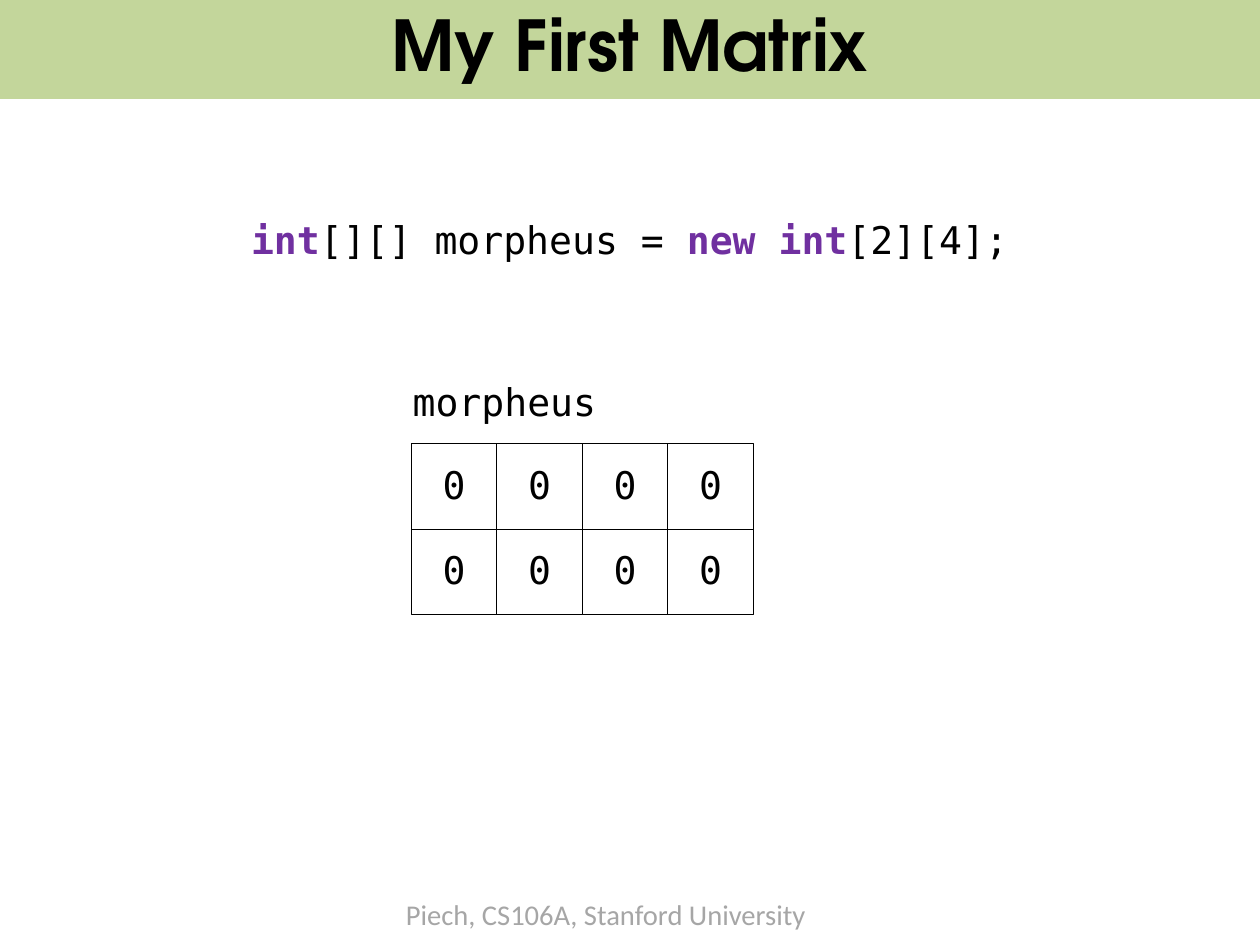
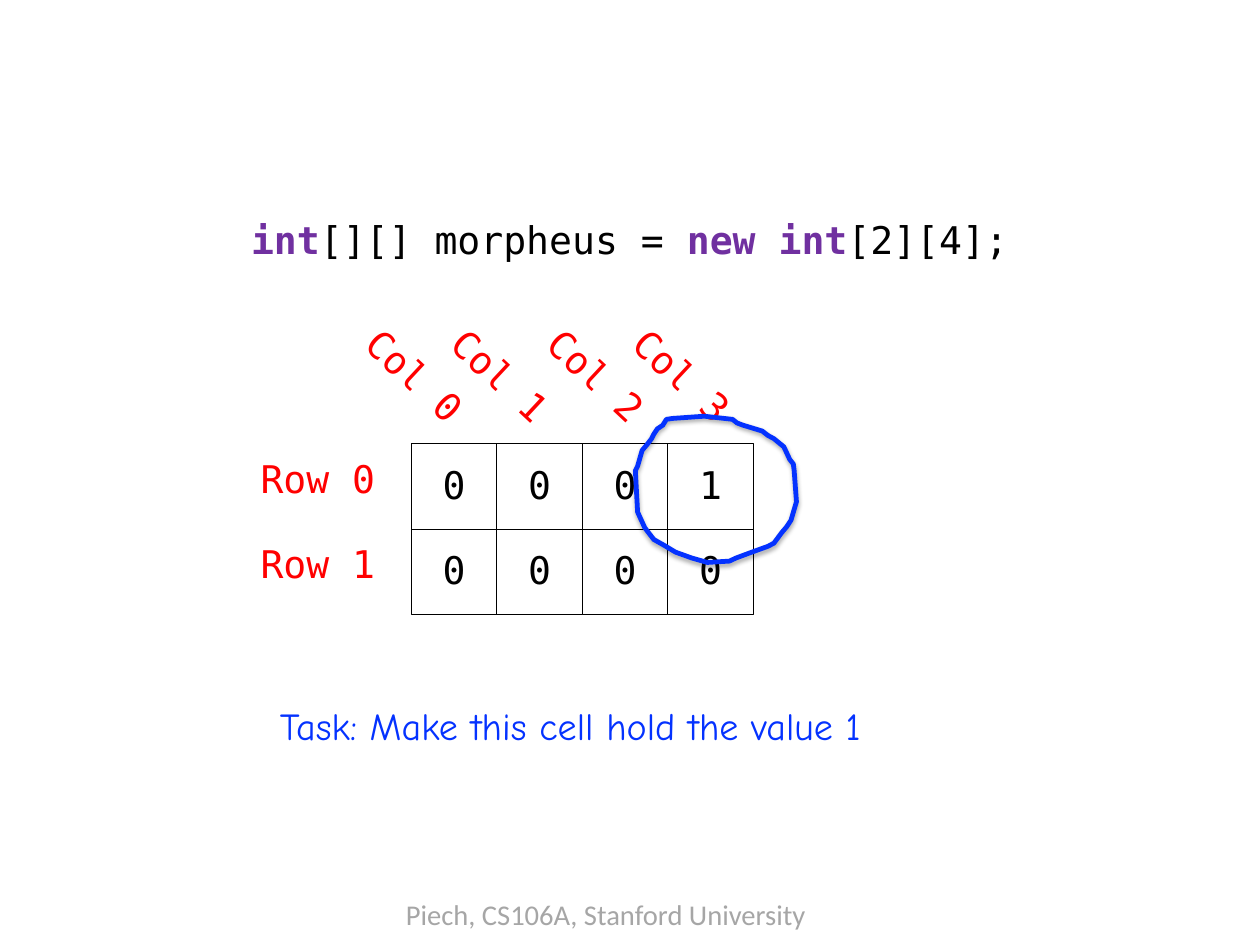
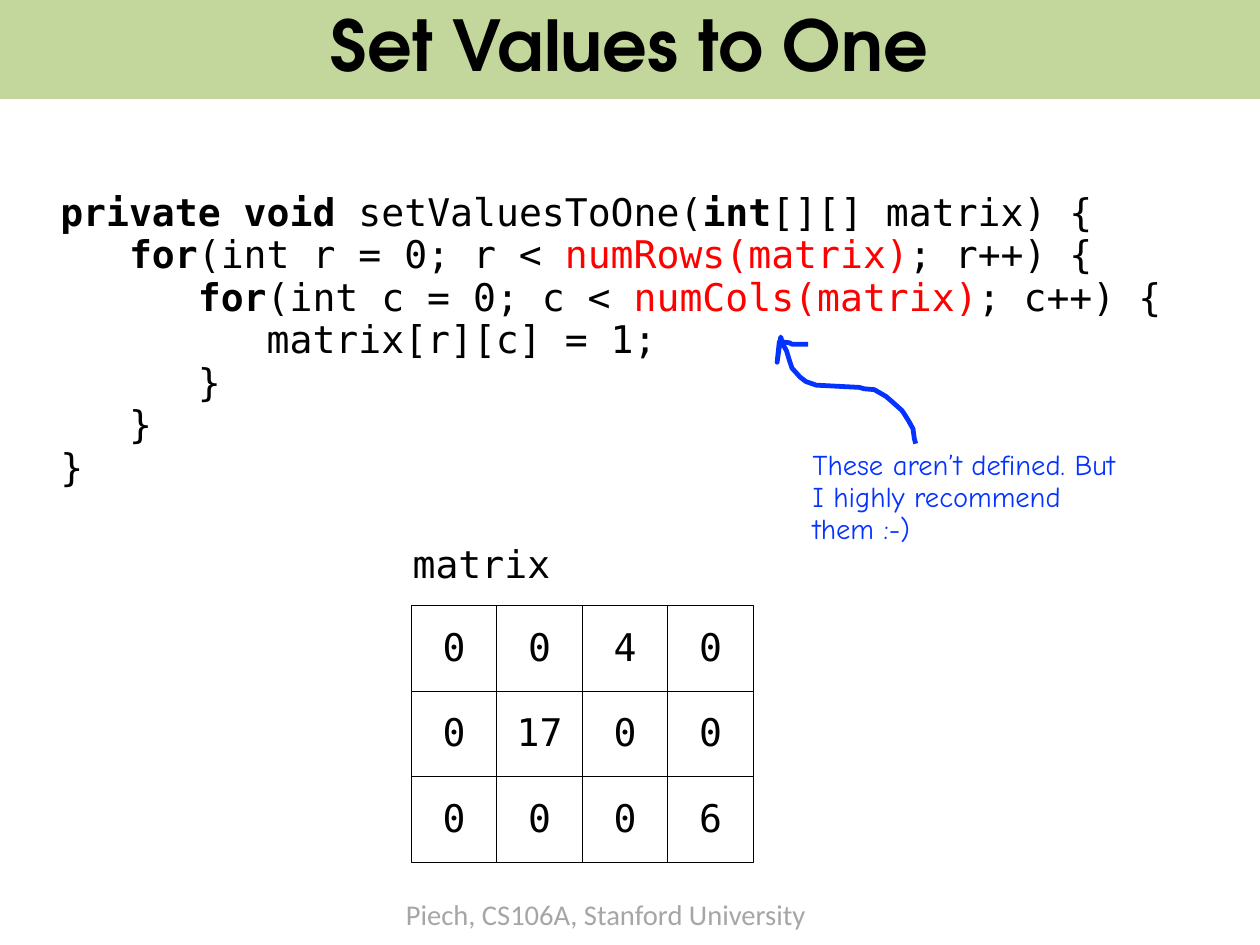
from dataclasses import dataclass

from lxml.etree import SubElement
from pptx import Presentation
from pptx.dml.color import RGBColor
from pptx.enum.shapes import MSO_SHAPE
from pptx.enum.text import MSO_ANCHOR, MSO_AUTO_SIZE, PP_ALIGN
from pptx.oxml.ns import qn
from pptx.util import Cm, Pt


@dataclass(frozen=True)
class Theme:
    black: str = "000000"
    white: str = "FFFFFF"
    band: str = "C3D69B"
    keyword: str = "7030A0"
    accent: str = "FF0000"
    ink: str = "0432FF"
    footer: str = "A6A6A6"
    title_font: str = "TeX Gyre Adventor"
    code_font: str = "DejaVu Sans Mono"
    hand_font: str = "Comic Neue"
    footer_font: str = "Calibri"
    title_size: float = 44.1
    body_size: float = 24
    small_size: float = 18
    line_spacing: float = 0.93
    grid_line: float = 0.75
    pen_line: float = 3


THEME = Theme()

TITLE = {"name": THEME.title_font, "size": Pt(THEME.title_size), "bold": True, "color": THEME.black}
CODE = {"name": THEME.code_font, "size": Pt(THEME.body_size), "bold": False, "color": THEME.black}
BOLD = CODE | {"bold": True}
KEYWORD = BOLD | {"color": THEME.keyword}
ACCENT = CODE | {"color": THEME.accent}
HAND = CODE | {"name": THEME.hand_font, "color": THEME.ink}
REMARK = HAND | {"size": Pt(THEME.small_size)}
FOOTER = REMARK | {"name": THEME.footer_font, "color": THEME.footer}

# Lengths below are in centimetres.
SLIDE_WIDTH, SLIDE_HEIGHT = 28, 21
CELL = 1.9
MATRIX_LEFT = 9.14
MATRIX_TOP = 9.86
LINE_HEIGHT = 1.22

DECLARATION = [
    ("int", KEYWORD), ("[][] morpheus = ", CODE),
    ("new int", KEYWORD), ("[2][4];", CODE),
]
SET_VALUES_CODE = [
    [("private void ", BOLD), ("setValuesToOne(", CODE), ("int", BOLD), ("[][] matrix) {", CODE)],
    [("   ", CODE), ("for", BOLD), ("(int r = 0; r < ", CODE),
     ("numRows(matrix)", ACCENT), ("; r++) {", CODE)],
    [("      ", CODE), ("for", BOLD), ("(int c = 0; c < ", CODE),
     ("numCols(matrix)", ACCENT), ("; c++) {", CODE)],
    [("         matrix[r][c] = 1;", CODE)],
    [("      }", CODE)],
    [("   }", CODE)],
    [("}", CODE)],
]
CELL_RING = [
    (16.94, 9.58), (16.51, 9.45), (16.38, 9.4), (16.28, 9.32), (15.65, 9.25),
    (14.94, 9.3), (14.81, 9.32), (14.73, 9.45), (14.61, 9.53), (14.53, 9.65),
    (14.48, 9.75), (14.38, 9.88), (14.27, 10.01), (14.17, 10.36), (14.12, 10.46),
    (14.17, 11.38), (14.33, 11.73), (14.53, 11.99), (14.76, 12.12), (15.01, 12.27),
    (15.37, 12.4), (15.72, 12.5), (16.21, 12.47), (16.36, 12.4), (16.71, 12.27),
    (17.07, 12.14), (17.2, 12.07), (17.37, 11.84), (17.48, 11.71), (17.58, 11.56),
    (17.7, 11.15), (17.65, 10.46), (17.63, 10.31), (17.55, 10.21), (17.42, 9.93),
    (17.2, 9.75), (17.07, 9.68),
]
REMARK_ARROW = [
    (20.35, 9.86), (20.32, 9.75), (20.29, 9.53), (20.19, 9.35), (20.09, 9.19),
    (20.04, 9.12), (19.84, 8.94), (19.69, 8.81), (19.43, 8.66), (19.2, 8.64),
    (19.1, 8.61), (18.14, 8.56), (17.91, 8.48), (17.78, 8.38), (17.6, 8.18),
    (17.55, 8.03), (17.48, 7.8), (17.4, 7.65), (17.35, 7.49), (17.32, 7.7),
    (17.27, 8.05), (17.32, 7.59), (17.55, 7.62), (17.6, 7.65), (17.96, 7.65),
]


def rgb(color):
    return RGBColor.from_string(color)


def write_lines(frame, lines, align=PP_ALIGN.LEFT):
    """Fill a text frame with lines, each a list of (text, style) runs."""
    for index, line in enumerate(lines):
        paragraph = frame.add_paragraph() if index else frame.paragraphs[0]
        paragraph.alignment = align
        paragraph.line_spacing = THEME.line_spacing
        for text, style in line:
            run = paragraph.add_run()
            run.text = text
            for attribute, value in style.items():
                if attribute == "color":
                    run.font.color.rgb = rgb(value)
                else:
                    setattr(run.font, attribute, value)


def add_text(slide, lines, left, top, width, height=LINE_HEIGHT, wrap=False, rotation=0):
    box = slide.shapes.add_textbox(Cm(left), Cm(top), Cm(width), Cm(height))
    box.rotation = rotation
    box.text_frame.word_wrap = wrap
    box.text_frame.auto_size = MSO_AUTO_SIZE.SHAPE_TO_FIT_TEXT
    write_lines(box.text_frame, lines)


def add_rectangle(slide, left, top, width, height, fill, text, style):
    """Add a filled rectangle without outline, its text centred both ways."""
    rectangle = slide.shapes.add_shape(
        MSO_SHAPE.RECTANGLE, Cm(left), Cm(top), Cm(width), Cm(height)
    )
    rectangle.shadow.inherit = False
    rectangle.fill.solid()
    rectangle.fill.fore_color.rgb = rgb(fill)
    rectangle.line.fill.background()
    rectangle.text_frame.vertical_anchor = MSO_ANCHOR.MIDDLE
    write_lines(rectangle.text_frame, [[(text, style)]], PP_ALIGN.CENTER)
    return rectangle


def set_line(shape, color, width):
    shape.line.color.rgb = rgb(color)
    shape.line.width = Pt(width)


def add_title_band(slide, title):
    band = add_rectangle(slide, 0, 0, SLIDE_WIDTH, 2.2, THEME.band, title, TITLE)
    band.text_frame.margin_top, band.text_frame.margin_bottom = Cm(0.15), Cm(0.22)


def add_slide(deck, title=None):
    slide = deck.slides.add_slide(deck.slide_layouts[6])
    add_text(slide, [[("Piech, CS106A, Stanford University", FOOTER)]], 8.77, 19.88, 9.5, 0.97)
    if title:
        add_title_band(slide, title)
    return slide


def add_declaration(slide):
    add_text(slide, [DECLARATION], 5.33, 4.78, 17.93)


def add_matrix(slide, values, top):
    for r, row in enumerate(values):
        for c, value in enumerate(row):
            cell = add_rectangle(
                slide, MATRIX_LEFT + c * CELL, top + r * CELL, CELL, CELL,
                THEME.white, str(value), CODE,
            )
            set_line(cell, THEME.black, THEME.grid_line)


def add_named_matrix(slide, name, name_width, values, top):
    add_text(slide, [[(name, CODE)]], MATRIX_LEFT - 0.22, top - 1.49, name_width)
    add_matrix(slide, values, top)


def add_index_labels(slide):
    for row in range(2):
        add_text(slide, [[(f"Row {row}", ACCENT)]], 5.54, MATRIX_TOP + 0.22 + row * CELL, 3.07)
    for column, left in enumerate((7.65, 9.55, 11.68, 13.59)):
        add_text(slide, [[(f"Col {column}", ACCENT)]], left, 7.79, 3.07, rotation=43)


def add_pen_stroke(slide, points, closed=False):
    start, *rest = [(Cm(x), Cm(y)) for x, y in points]
    builder = slide.shapes.build_freeform(*start)
    builder.add_line_segments(rest, close=closed)
    stroke = builder.convert_to_shape()
    stroke.shadow.inherit = False
    stroke.fill.background()
    set_line(stroke, THEME.ink, THEME.pen_line)
    return stroke


def add_soft_shadow(shape):
    effects = shape._element.spPr.find(qn("a:effectLst"))
    shadow = SubElement(
        effects, qn("a:outerShdw"),
        blurRad=str(Pt(3.1)), dist=str(Pt(1.8)), dir="5400000", rotWithShape="0",
    )
    color = SubElement(shadow, qn("a:srgbClr"), val=THEME.black)
    SubElement(color, qn("a:alpha"), val="35000")


def build_first_matrix(deck):
    slide = add_slide(deck, "My First Matrix")
    add_declaration(slide)
    add_named_matrix(slide, "morpheus", 4.6, [[0] * 4, [0] * 4], MATRIX_TOP)


def build_cell_task(deck):
    slide = add_slide(deck)
    add_matrix(slide, [[0, 0, 0, 1], [0] * 4], MATRIX_TOP)
    add_index_labels(slide)
    add_soft_shadow(add_pen_stroke(slide, CELL_RING, closed=True))
    add_text(slide, [[("Task: Make this cell hold the value 1", HAND)]], 5.97, 15.57, 14.68)
    add_declaration(slide)


def build_set_values(deck):
    slide = add_slide(deck, "Set Values to One")
    add_text(slide, SET_VALUES_CODE, 1.09, 4.15, 25.1, 6.93)
    remark = "These aren’t defined. But I highly recommend them :-)"
    add_text(slide, [[(remark, REMARK)]], 17.81, 9.87, 7.52, 2.41, wrap=True)
    add_pen_stroke(slide, REMARK_ARROW)
    values = [[0, 0, 4, 0], [0, 17, 0, 0], [0, 0, 0, 6]]
    add_named_matrix(slide, "matrix", 3.58, values, 13.46)


def main():
    deck = Presentation()
    deck.slide_width, deck.slide_height = Cm(SLIDE_WIDTH), Cm(SLIDE_HEIGHT)
    build_first_matrix(deck)
    build_cell_task(deck)
    build_set_values(deck)
    deck.save("out.pptx")


if __name__ == "__main__":
    main()
